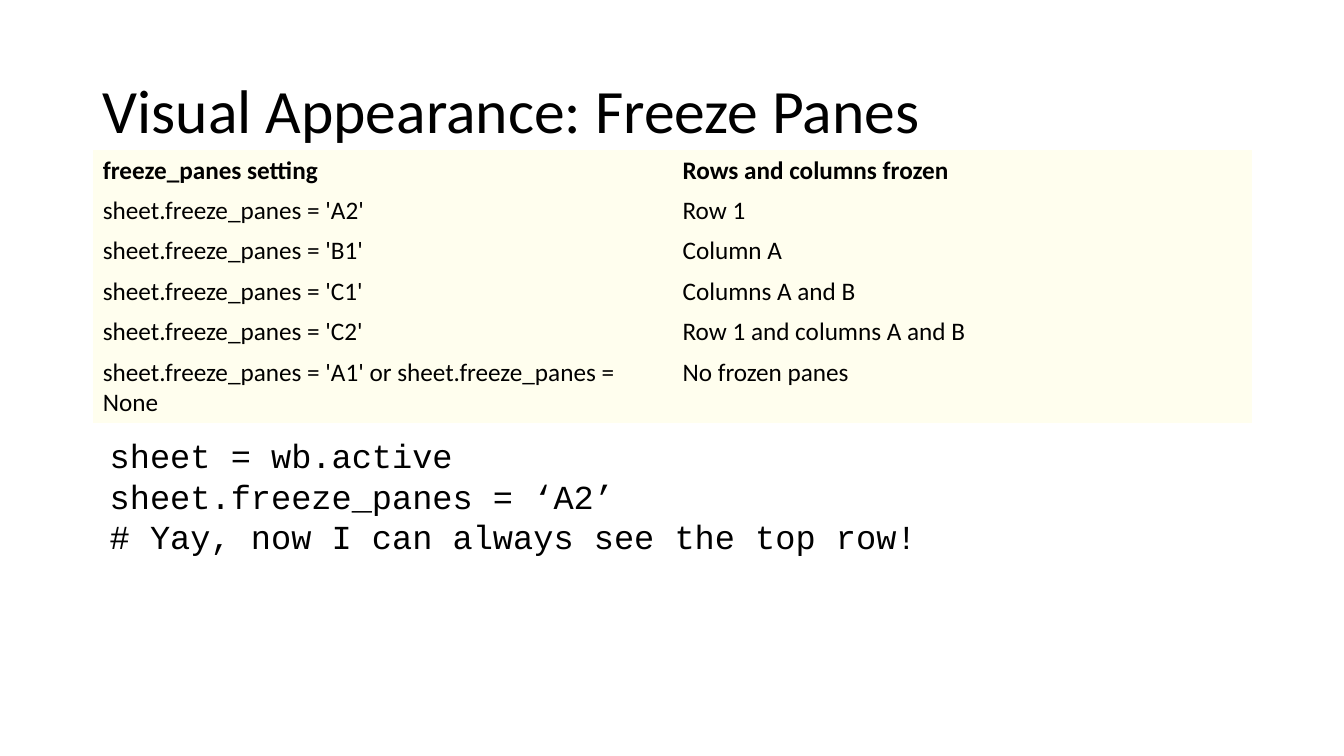
from pptx import Presentation
from pptx import util as u
from pptx.dml import color
from pptx.enum import text

WIDTH, HEIGHT = 13.33, 7.5
LEFT, SPAN = 0.92, 11.5
BODY_FONT, CODE_FONT = "Calibri", "Courier New"
INK, CREAM = "000000", "FFFEEE"
ROW_HEIGHT = 0.4

SETTINGS = [
    ("freeze_panes setting", "Rows and columns frozen"),
    ("sheet.freeze_panes = 'A2'", "Row 1"),
    ("sheet.freeze_panes = 'B1'", "Column A"),
    ("sheet.freeze_panes = 'C1'", "Columns A and B"),
    ("sheet.freeze_panes = 'C2'", "Row 1 and columns A and B"),
    ("sheet.freeze_panes = 'A1' or sheet.freeze_panes = None", "No frozen panes"),
]
CODE = [
    "sheet = wb.active",
    "sheet.freeze_panes = ‘A2’",
    "# Yay, now I can always see the top row!",
]


def rgb(value):
    return color.RGBColor.from_string(value)


def write(para, words, size, font, bold=False):
    span = para.add_run()
    span.text = words
    span.font.size = u.Pt(size)
    span.font.name = font
    span.font.bold = bold
    span.font.color.rgb = rgb(INK)


def add_text(page, place, lines, size, font, anchor, spacing=1.0):
    box = page.shapes.add_textbox(*(u.Inches(length) for length in place))
    frame = box.text_frame
    frame.word_wrap = True
    frame.vertical_anchor = anchor
    for index, line in enumerate(lines):
        para = frame.add_paragraph() if index else frame.paragraphs[0]
        para.line_spacing = spacing
        write(para, line, size, font)


def add_settings_table(page, top, rows):
    columns = len(rows[0])
    height = ROW_HEIGHT * len(rows)
    table = page.shapes.add_table(
        len(rows), columns,
        u.Inches(LEFT), u.Inches(top), u.Inches(SPAN), u.Inches(height),
    ).table
    table.horz_banding = False
    table.first_row = False
    style = table._tbl.tblPr.find("{*}tableStyleId")
    style.text = "{2D5ABB26-0587-4C30-8999-92F81FD0307C}"
    for row_index, row in enumerate(rows):
        for column_index, words in enumerate(row):
            cell = table.cell(row_index, column_index)
            cell.fill.solid()
            cell.fill.fore_color.rgb = rgb(CREAM)
            write(cell.text_frame.paragraphs[0], words, 18, BODY_FONT, row_index == 0)
    table.rows[len(rows) - 1].height = u.Inches(0.7)


def main():
    deck = Presentation()
    deck.slide_width = u.Inches(WIDTH)
    deck.slide_height = u.Inches(HEIGHT)
    page = deck.slides.add_slide(deck.slide_layouts[6])
    add_text(page, (LEFT, 0.4, SPAN, 1.45), ["Visual Appearance: Freeze Panes"],
             44, BODY_FONT, text.MSO_ANCHOR.MIDDLE, 0.9)
    add_settings_table(page, 1.49, SETTINGS)
    add_text(page, (0.99, 4.27, 11.43, 1.31), CODE,
             24, CODE_FONT, text.MSO_ANCHOR.TOP)
    deck.save("out.pptx")


if __name__ == "__main__":
    main()
